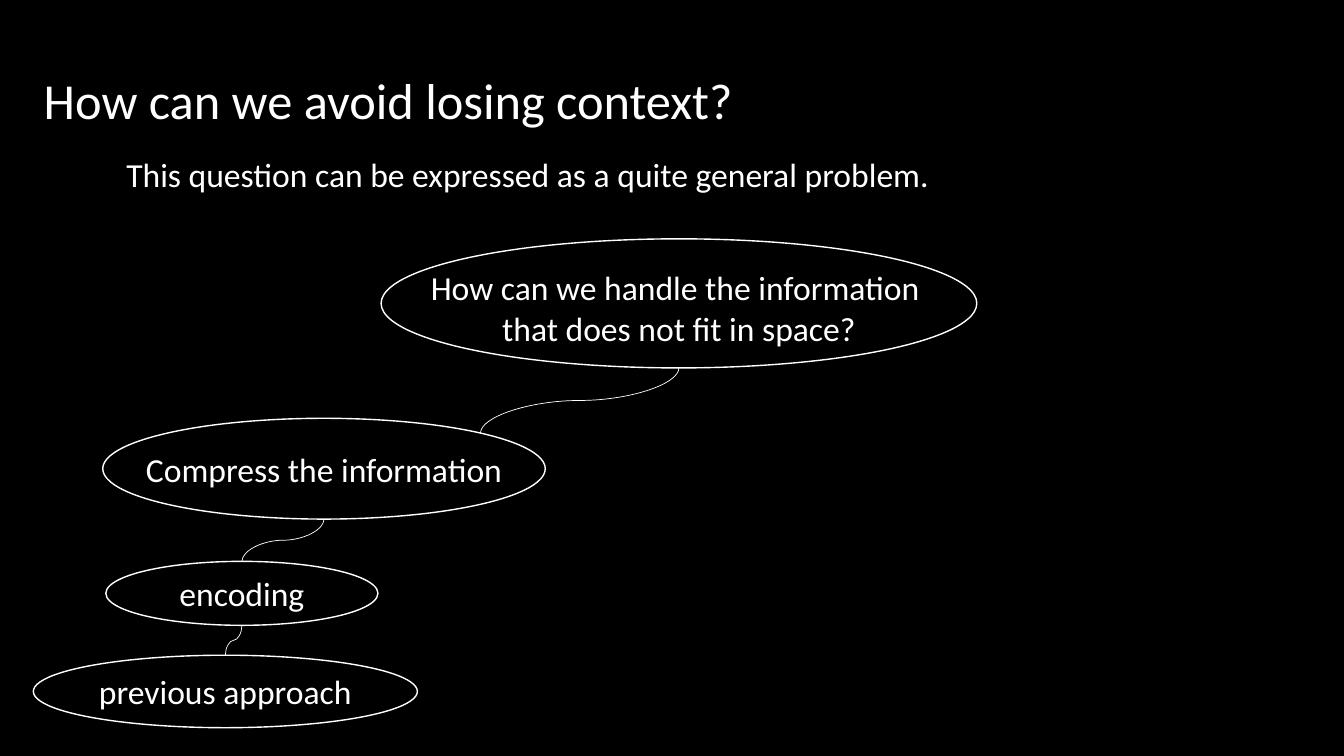
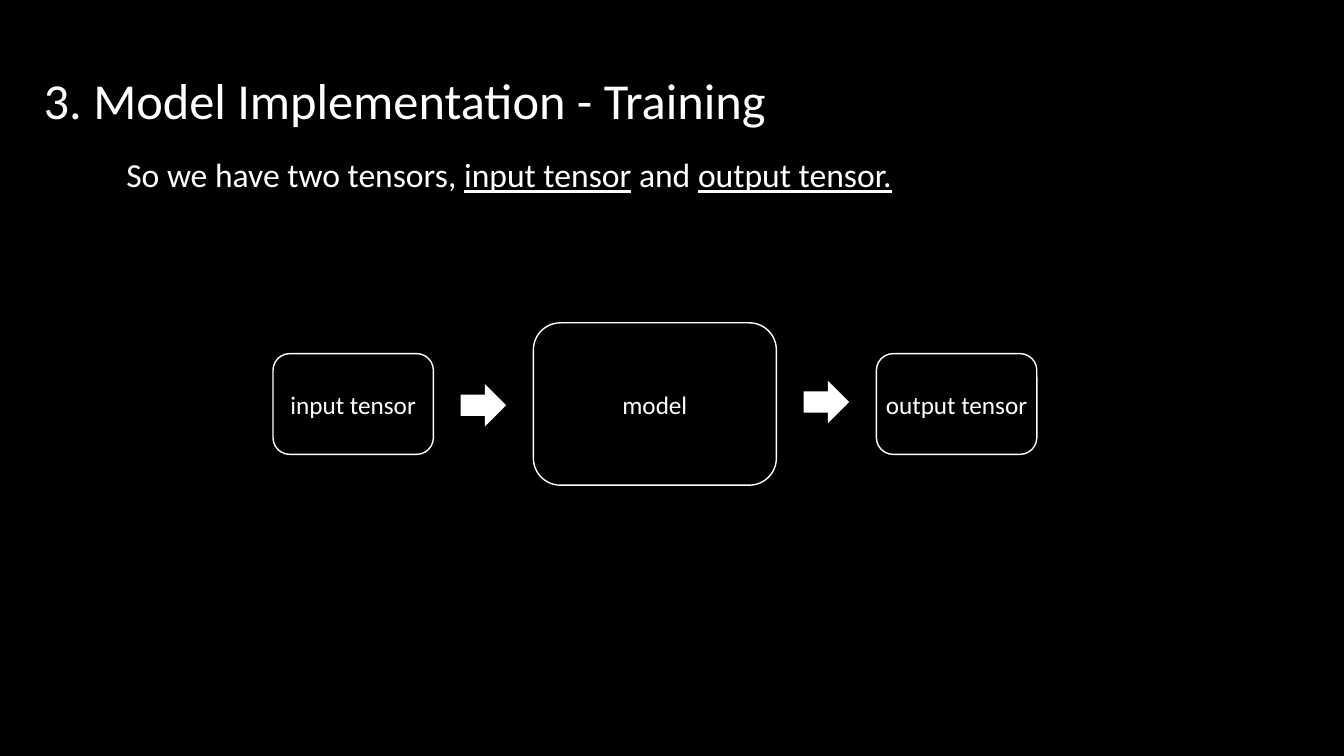
"""Build two black slides: a question tree and a tensor flow."""
from math import sqrt

from lxml.etree import SubElement
from pptx import Presentation
from pptx.dml.color import RGBColor
from pptx.enum.shapes import MSO_CONNECTOR, MSO_SHAPE
from pptx.enum.text import MSO_ANCHOR, MSO_AUTO_SIZE, PP_ALIGN
from pptx.oxml.ns import qn
from pptx.util import Pt

BLACK, WHITE = "000000", "FFFFFF"
FONT = "Calibri"
TITLE_BOX = (24, 45.4, 894, 51)
LEAD_BOX = (83, 106.5, 860, 36)
FRAME_FORMAT = {
    "auto_size": MSO_AUTO_SIZE.NONE,
    "vertical_anchor": MSO_ANCHOR.MIDDLE,
}


def color(hex_code):
    """Turn a hex string into a colour."""
    return RGBColor.from_string(hex_code)


def apply(target, values):
    """Set each attribute named in values on target."""
    for attribute, value in values.items():
        setattr(target, attribute, value)


def place(placeholder, box):
    """Move a placeholder to a box given in points."""
    apply(placeholder, dict(zip(("left", "top", "width", "height"), map(Pt, box))))


def prepare_layout(deck):
    """Set the shared background and text positions and return the layout."""
    backdrop = deck.slide_master.background.fill
    backdrop.solid()
    backdrop.fore_color.rgb = color(BLACK)
    layout = deck.slide_layouts[1]
    for placeholder, box in zip(layout.placeholders, (TITLE_BOX, LEAD_BOX)):
        place(placeholder, box)
    return layout


def write(frame, pieces, size, alignment, **frame_values):
    """Fill a text frame with (text, underlined) pieces."""
    apply(frame, FRAME_FORMAT | frame_values)
    paragraph = frame.paragraphs[0]
    apply(paragraph, {"alignment": alignment, "space_before": Pt(0)})
    for text, underlined in pieces:
        run = paragraph.add_run()
        run.text = text
        apply(run.font, {"name": FONT, "size": Pt(size), "underline": underlined})
        run.font.color.rgb = color(WHITE)
    return paragraph


def add_page(deck, layout, title, lead_pieces):
    """Add a slide with a title and an unbulleted lead sentence."""
    slide = deck.slides.add_slide(layout)
    heading, lead = slide.placeholders
    write(heading.text_frame, [(title, False)], 36, PP_ALIGN.LEFT)
    sentence = write(lead.text_frame, lead_pieces, 24, PP_ALIGN.LEFT)
    properties = sentence._p.get_or_add_pPr()
    for name in ("marL", "indent"):
        properties.set(name, "0")
    SubElement(properties, qn("a:buNone"))
    return slide


def add_node(slide, preset, box, lines, size, text_drop=0):
    """Add an outlined shape with centred text, lowered by text_drop."""
    node = slide.shapes.add_shape(preset, *map(Pt, box))
    node.shadow.inherit = False
    node.fill.background()
    node.line.color.rgb = color(WHITE)
    node.line.width = Pt(1)
    frame = node.text_frame
    margins = {"margin_left": 0, "margin_right": 0,
               "margin_top": Pt(2 * text_drop), "margin_bottom": 0}
    paragraph = write(frame, [(lines[0], False)], size, PP_ALIGN.CENTER,
                      word_wrap=False, **margins)
    for line in lines[1:]:
        paragraph.add_line_break()
        write(frame, [(line, False)], size, PP_ALIGN.CENTER)


def add_arrow(slide, center_x, center_y):
    """Add a white block arrow around a centre point."""
    width, height = 32.4, 30.4
    arrow = slide.shapes.add_shape(
        MSO_SHAPE.RIGHT_ARROW, Pt(center_x - width / 2), Pt(center_y - height / 2),
        Pt(width), Pt(height))
    arrow.shadow.inherit = False
    arrow.fill.solid()
    arrow.fill.fore_color.rgb = color(WHITE)
    arrow.line.fill.background()


def add_branch(slide, start, end):
    """Draw a curve that leaves start downwards and reaches end from above."""
    (start_x, start_y), (end_x, end_y) = start, end
    middle_x, middle_y = (start_x + end_x) / 2, (start_y + end_y) / 2
    half_run, half_drop = (start_x - end_x) / 2, (end_y - start_y) / 2
    branch = slide.shapes.add_connector(
        MSO_CONNECTOR.CURVE, Pt(middle_x - half_drop), Pt(middle_y - half_run),
        Pt(middle_x + half_drop), Pt(middle_y + half_run))
    branch.line.color.rgb = color(WHITE)
    branch.line.width = Pt(0.5)
    properties = branch._element.spPr
    properties.find(qn("a:xfrm")).set("rot", "5400000")
    SubElement(properties, qn("a:effectLst"))


def rim_point(box, across, down):
    """Return a point on an ellipse, with offsets from its centre in radii."""
    left, top, width, height = box
    return left + width / 2 * (1 + across), top + height / 2 * (1 + down)


def build_question_tree(deck, layout):
    """Build the slide on losing context."""
    slide = add_page(
        deck, layout, "How can we avoid losing context?",
        [("This question can be expressed as a quite general problem.", False)])
    question = (272.2, 170.6, 425.5, 92.2)
    compress = (73.4, 298.8, 316.1, 72)
    encoding = (75.6, 401, 194.4, 45.7)
    previous = (23.8, 468, 274.3, 51.8)
    nodes = (
        (question, ["How can we handle the information ", "that does not fit in space?"], 3),
        (compress, ["Compress the information"], 0),
        (encoding, ["encoding"], 0),
        (previous, ["previous approach"], 0),
    )
    for box, lines, text_drop in nodes:
        add_node(slide, MSO_SHAPE.OVAL, box, lines, 24, text_drop)
    diagonal = sqrt(0.5)
    branches = (
        (question, compress, (diagonal, -diagonal)),
        (compress, encoding, (0, -1)),
        (encoding, previous, (0, -1)),
    )
    for parent, child, joint in branches:
        add_branch(slide, rim_point(parent, 0, 1), rim_point(child, *joint))


def build_tensor_flow(deck, layout):
    """Build the slide on model training."""
    slide = add_page(
        deck, layout, "3. Model Implementation - Training",
        [("So we have two tensors, ", False), ("input tensor", True),
         (" and ", False), ("output tensor.", True)])
    left, gap, center_y = 195, 71.4, 288.6
    tensor, model = (114.6, 72), (173.6, 116)
    stages = (("input tensor", tensor, 289.5), ("model", model, 287.2),
              ("output tensor", tensor, None))
    for label, (width, height), arrow_y in stages:
        box = (left, center_y - height / 2, width, height)
        add_node(slide, MSO_SHAPE.ROUNDED_RECTANGLE, box, [label], 18)
        left += width + gap
        if arrow_y:
            add_arrow(slide, left - gap / 2, arrow_y)


def main():
    """Build and save the deck."""
    deck = Presentation()
    apply(deck, {"slide_width": Pt(960), "slide_height": Pt(540)})
    layout = prepare_layout(deck)
    build_question_tree(deck, layout)
    build_tensor_flow(deck, layout)
    deck.save("out.pptx")


if __name__ == "__main__":
    main()
